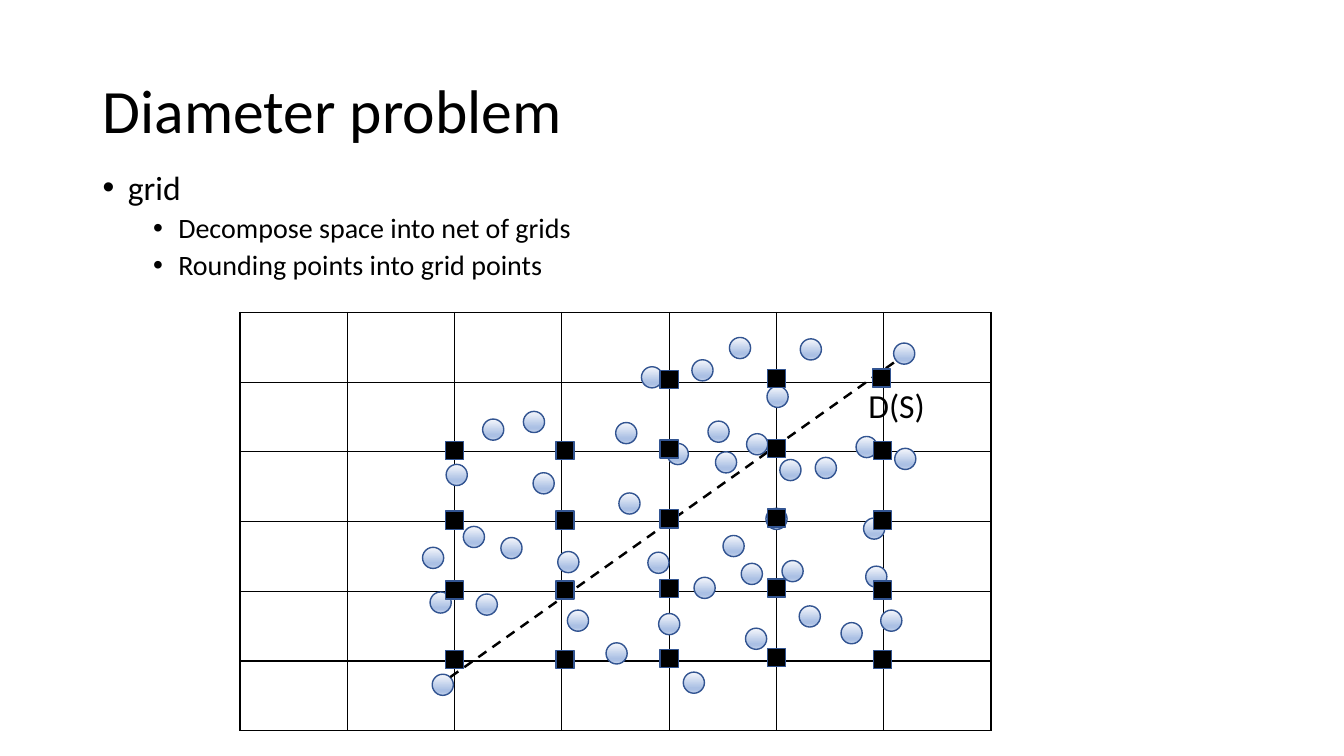
from dataclasses import dataclass

from lxml import etree
from pptx import Presentation
from pptx import util as u
from pptx.dml.color import RGBColor
from pptx.enum import dml, shapes, text
from pptx.oxml.ns import qn

BLACK = RGBColor(0x00, 0x00, 0x00)
OUTLINE = RGBColor(0x32, 0x54, 0x91)
POINT_STOPS = (
    (0, RGBColor(0xF6, 0xF8, 0xFC)),
    (74, RGBColor(0xAB, 0xC0, 0xE4)),
    (83, RGBColor(0xAB, 0xC0, 0xE4)),
    (100, RGBColor(0xC7, 0xD5, 0xED)),
)
FONT = "Calibri"

WIDTH, HEIGHT = u.Inches(13.33), u.Inches(7.5)
COLUMNS, ROWS = 7, 6
GRID_LEFT, GRID_TOP = u.Inches(2.38), u.Inches(3.1)
CELL_WIDTH, CELL_HEIGHT = u.Inches(7.45 / COLUMNS), u.Inches(4.15 / ROWS)
POINT_SIZE, MARKER_SIZE = u.Inches(0.21), u.Inches(0.18)


@dataclass(frozen=True)
class Spot:
    """A place counted in grid columns and rows."""
    column: float
    row: float

    @property
    def x(self) -> int:
        return round(GRID_LEFT + self.column * CELL_WIDTH)

    @property
    def y(self) -> int:
        return round(GRID_TOP + self.row * CELL_HEIGHT)


@dataclass(frozen=True)
class MarkerColumn:
    """Grid points in one column, lifted slightly above the row lines."""
    column: float
    lift: float
    first_row: int


@dataclass(frozen=True)
class Bullet:
    wording: str
    size: int
    level: int
    indent: float
    space_before: int


BULLETS = (
    Bullet("grid", 24, 0, 0.25, 10),
    Bullet("Decompose space into net of grids", 20, 1, 0.75, 5),
    Bullet("Rounding points into grid points", 20, 1, 0.75, 5),
)
POINTS = [Spot(*place) for place in (
    (2.02, 2.33), (2.18, 3.22), (1.80, 3.52), (2.36, 1.68), (4.31, 0.83),
    (6.19, 0.59), (5.31, 4.36), (1.87, 4.16), (6.07, 4.42), (2.30, 4.19),
    (3.15, 4.42), (1.89, 5.34), (3.84, 0.93), (2.74, 1.57), (4.53, 2.15),
    (2.83, 2.45), (5.32, 0.53), (4.66, 0.51), (5.01, 1.21), (5.13, 2.26),
    (3.60, 1.73), (4.60, 3.35), (3.63, 2.74), (2.53, 3.38), (4.33, 3.95),
    (3.51, 4.89), (4.46, 1.71), (4.08, 2.03), (4.82, 1.89), (5.15, 3.71),
    (3.06, 3.58), (4.23, 5.31), (5.00, 2.96), (3.90, 3.59), (5.93, 3.79),
    (4.00, 4.47), (5.84, 1.93), (5.46, 2.23), (6.20, 2.10), (5.91, 3.10),
    (4.77, 3.75), (5.70, 4.60), (4.81, 4.68),
)]
MARKER_COLUMNS = (
    MarkerColumn(2, 0.02, 2),
    MarkerColumn(3.03, 0.02, 2),
    MarkerColumn(4, 0.04, 1),
    MarkerColumn(5, 0.05, 1),
    MarkerColumn(5.99, 0.02, 2),
)
DIAMETER = Spot(1.96, 5.23), Spot(6.12, 0.69)
LABEL = Spot(6.12, 1.33)


def format_paragraph(para, size: int) -> None:
    para.font.name = FONT
    para.font.size = u.Pt(size)
    para.font.color.rgb = BLACK


def place(shape, left: float, top: float, width: float, height: float) -> None:
    """Place a shape by shares of the slide's size."""
    shape.left, shape.top = round(left * WIDTH), round(top * HEIGHT)
    shape.width, shape.height = round(width * WIDTH), round(height * HEIGHT)


def add_title(page) -> None:
    title = page.shapes.title
    place(title, 0.069, 0.0533, 0.8627, 0.1933)
    title.text_frame.text = "Diameter problem"
    title.text_frame.vertical_anchor = text.MSO_ANCHOR.MIDDLE
    para = title.text_frame.paragraphs[0]
    para.alignment = text.PP_ALIGN.LEFT
    para.line_spacing = 0.9
    format_paragraph(para, 44)


def add_bullets(page) -> None:
    box = page.shapes.add_textbox(0, 0, 0, 0)
    place(box, 0.069, 0.22, 0.8627, 0.6813)
    frame = box.text_frame
    frame.word_wrap = True
    for index, bullet in enumerate(BULLETS):
        para = frame.add_paragraph() if index else frame.paragraphs[0]
        para.text = bullet.wording
        para.level = bullet.level
        para.line_spacing = 0.9
        para.space_before = u.Pt(bullet.space_before)
        format_paragraph(para, bullet.size)
        properties = para._p.get_or_add_pPr()
        properties.set("marL", str(u.Inches(bullet.indent)))
        properties.set("indent", str(-u.Inches(0.25)))
        font = etree.Element(qn("a:buFont"), typeface="Arial")
        mark = etree.Element(qn("a:buChar"), char="•")
        properties.find(qn("a:spcBef")).addnext(font)
        font.addnext(mark)


def add_borders(cell) -> None:
    properties = cell._tc.get_or_add_tcPr()
    for side in ("lnL", "lnR", "lnT", "lnB"):
        border = etree.SubElement(properties, qn(f"a:{side}"), w=str(u.Pt(1)))
        fill = etree.SubElement(border, qn("a:solidFill"))
        etree.SubElement(fill, qn("a:srgbClr"), val=str(BLACK))


def add_grid(page) -> None:
    table = page.shapes.add_table(
        ROWS, COLUMNS, GRID_LEFT, GRID_TOP, CELL_WIDTH * COLUMNS, CELL_HEIGHT * ROWS
    ).table
    table.first_row = table.horz_banding = False
    for column in table.columns:
        column.width = CELL_WIDTH
    for row in table.rows:
        row.height = CELL_HEIGHT
    for cell in table.iter_cells():
        add_borders(cell)
        cell.fill.background()


def add_mark(page, kind, spot: Spot, size: int):
    """Add an outlined shape centred on a spot."""
    mark = page.shapes.add_shape(kind, spot.x - size // 2, spot.y - size // 2, size, size)
    mark.shadow.inherit = False
    mark.line.color.rgb = OUTLINE
    mark.line.width = u.Pt(1)
    return mark


def add_point(page, spot: Spot) -> None:
    point = add_mark(page, shapes.MSO_SHAPE.OVAL, spot, POINT_SIZE)
    point.fill.gradient()
    point.fill.gradient_angle = 270
    stops = point.element.spPr.find(qn("a:gradFill")).find(qn("a:gsLst"))
    for stop in list(stops):
        stops.remove(stop)
    for percent, color in POINT_STOPS:
        stop = etree.SubElement(stops, qn("a:gs"), pos=str(percent * 1000))
        etree.SubElement(stop, qn("a:srgbClr"), val=str(color))


def add_marker(page, spot: Spot) -> None:
    marker = add_mark(page, shapes.MSO_SHAPE.RECTANGLE, spot, MARKER_SIZE)
    marker.fill.solid()
    marker.fill.fore_color.rgb = BLACK


def add_diameter(page) -> None:
    start, end = DIAMETER
    line = page.shapes.add_connector(
        shapes.MSO_CONNECTOR.STRAIGHT, start.x, start.y, end.x, end.y)
    line.line.color.rgb = BLACK
    line.line.width = u.Pt(1.75)
    line.line.dash_style = dml.MSO_LINE.DASH
    etree.SubElement(line.element.spPr, qn("a:effectLst"))

    width, height = u.Inches(0.77), u.Inches(0.5)
    box = page.shapes.add_textbox(LABEL.x - width // 2, LABEL.y - height // 2, width, height)
    box.text_frame.word_wrap = False
    box.text_frame.auto_size = text.MSO_AUTO_SIZE.SHAPE_TO_FIT_TEXT
    para = box.text_frame.paragraphs[0]
    para.text = "D(S)"
    para.alignment = text.PP_ALIGN.CENTER
    format_paragraph(para, 24)


def main() -> None:
    deck = Presentation()
    deck.slide_width, deck.slide_height = WIDTH, HEIGHT
    page = deck.slides.add_slide(deck.slide_layouts.get_by_name("Title Only"))

    # Heading and bullets
    add_title(page)
    add_bullets(page)

    # Grid with scattered points and their diameter
    add_grid(page)
    for spot in POINTS:
        add_point(page, spot)
    add_diameter(page)

    # Rounded grid points
    for line in MARKER_COLUMNS:
        for row in range(line.first_row, ROWS):
            add_marker(page, Spot(line.column, row - line.lift))
    add_marker(page, Spot(5.98, 0.94))

    deck.save("out.pptx")


if __name__ == "__main__":
    main()
